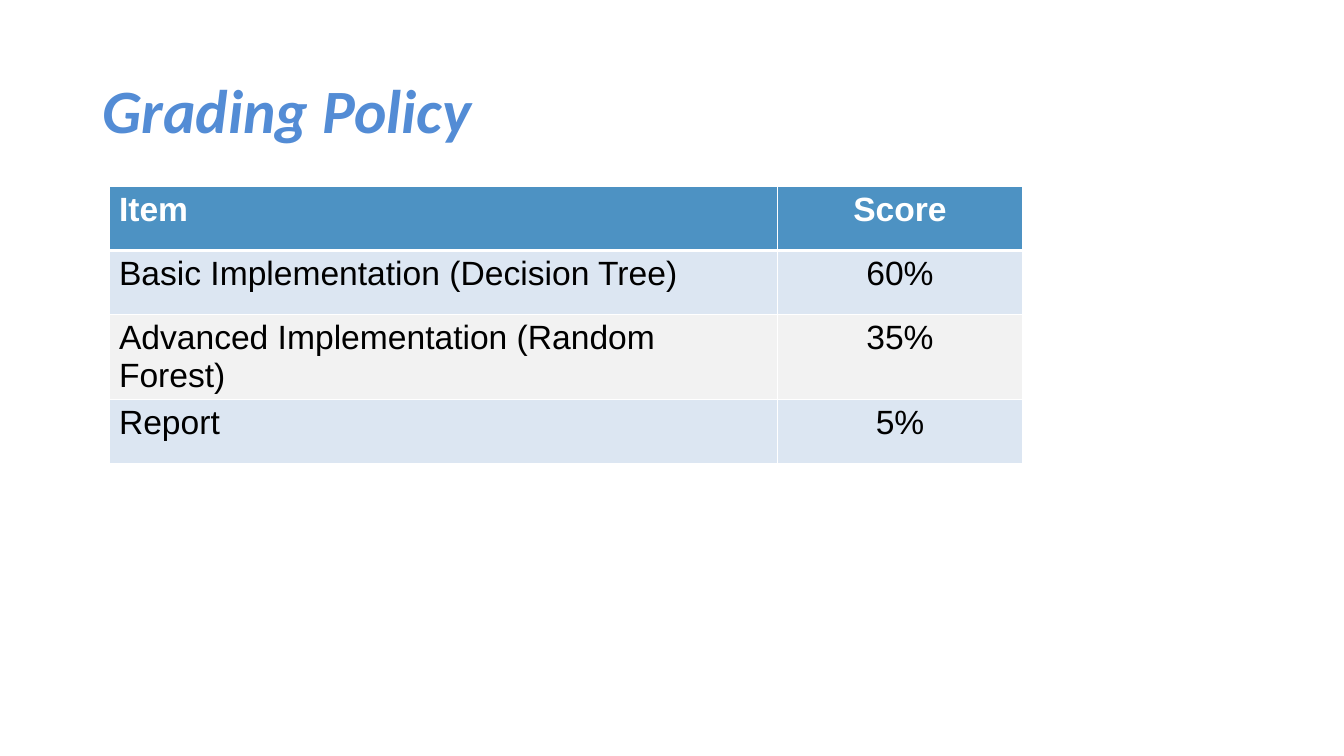
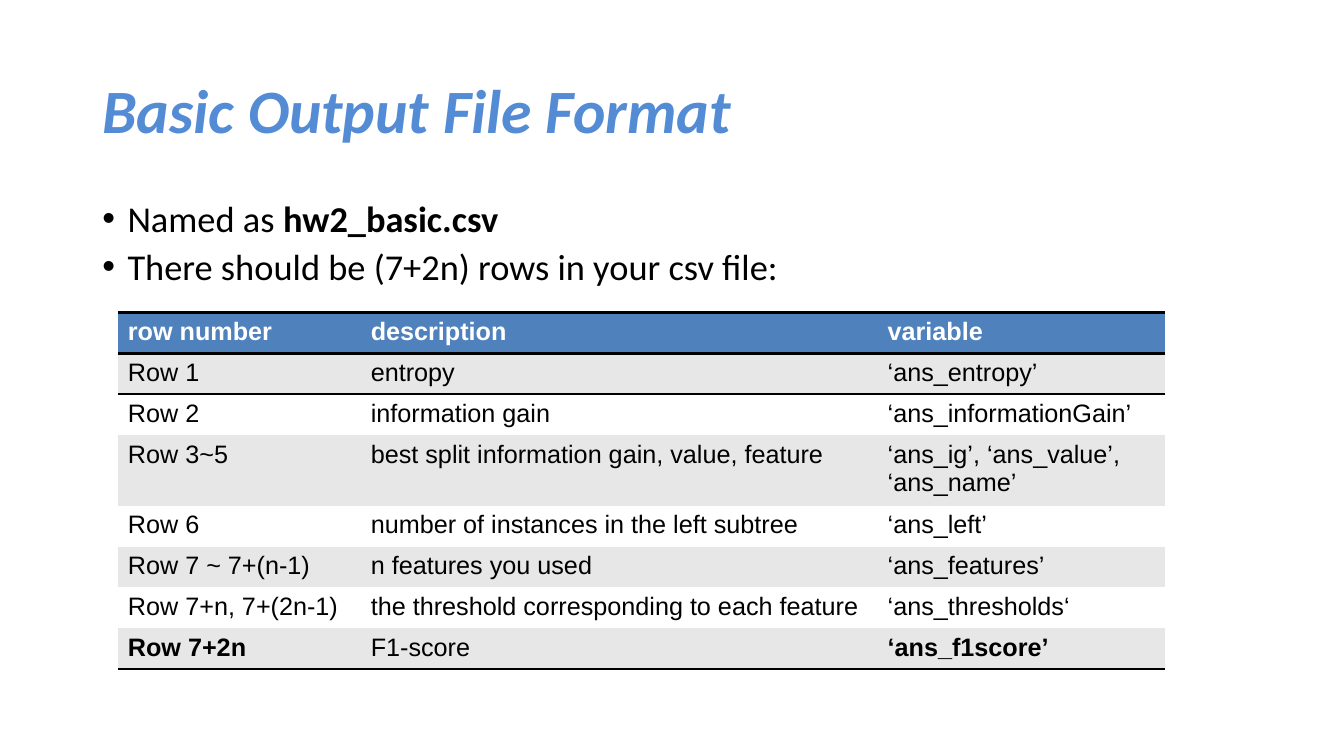
from lxml import etree
from pptx import Presentation
from pptx.dml.color import RGBColor
from pptx.enum.text import MSO_ANCHOR, PP_ALIGN
from pptx.oxml.ns import qn
from pptx.util import Pt

LEFT, CENTER = PP_ALIGN.LEFT, PP_ALIGN.CENTER
MIDDLE = MSO_ANCHOR.MIDDLE

WHITE = RGBColor(0xFF, 0xFF, 0xFF)
BLACK = RGBColor(0x00, 0x00, 0x00)
TITLE_BLUE = RGBColor(0x53, 0x8C, 0xD5)
GRADING_HEADER = RGBColor(0x4D, 0x92, 0xC3)
GRADING_BANDS = (RGBColor(0xDC, 0xE6, 0xF2), RGBColor(0xF2, 0xF2, 0xF2))
FORMAT_HEADER = RGBColor(0x4F, 0x81, 0xBD)
FORMAT_BANDS = (RGBColor(0xE7, 0xE7, 0xE7), WHITE)

HEADING_FONT, TABLE_FONT = "Calibri", "Arial"
PLAIN_TABLE_STYLE = "{2D5ABB26-0587-4C30-8999-92F81FD0307C}"
CONTENT_LEFT, CONTENT_TOP = 66, 133.2

GRADING_ROWS = [
    ("Item", "Score"),
    ("Basic Implementation (Decision Tree)", "60%"),
    ("Advanced Implementation (Random Forest)", "35%"),
    ("Report", "5%"),
]
FORMAT_ROWS = [
    ("row number", "description", "variable"),
    ("Row 1", "entropy", "‘ans_entropy’"),
    ("Row 2", "information gain", "‘ans_informationGain’"),
    ("Row 3~5", "best split information gain, value, feature",
     "‘ans_ig’, ‘ans_value’, ‘ans_name’"),
    ("Row 6", "number of instances in the left subtree", "‘ans_left’"),
    ("Row 7 ~ 7+(n-1)", "n features you used", "‘ans_features’"),
    ("Row 7+n, 7+(2n-1)", "the threshold corresponding to each feature",
     "‘ans_thresholds‘"),
    ("Row 7+2n", "F1-score", "‘ans_f1score’"),
]
FORMAT_BOLD_CELLS = {(7, 0), (7, 2)}


def style_font(font, name, size, color, bold=False, italic=False):
    font.name, font.size = name, Pt(size)
    font.bold, font.italic = bold, italic
    font.color.rgb = color


def add_titled_slide(prs, text):
    slide = prs.slides.add_slide(prs.slide_layouts[5])
    title = slide.shapes.title
    title.left, title.top = Pt(CONTENT_LEFT), Pt(28.8)
    title.width, title.height = Pt(828), Pt(104.4)
    title.text_frame.text = text
    title.text_frame.vertical_anchor = MIDDLE
    paragraph = title.text_frame.paragraphs[0]
    paragraph.alignment = LEFT
    paragraph.line_spacing = 0.9
    style_font(paragraph.runs[0].font, HEADING_FONT, 44, TITLE_BLUE, True, True)
    return slide


def add_bullets(slide, items):
    """Add bulleted lines; each item is a list of (text, bold) pieces."""
    box = slide.shapes.add_textbox(
        Pt(CONTENT_LEFT), Pt(CONTENT_TOP), Pt(781.2), Pt(118.8))
    frame = box.text_frame
    frame.word_wrap = True
    for index, pieces in enumerate(items):
        paragraph = frame.add_paragraph() if index else frame.paragraphs[0]
        paragraph.line_spacing = 1.1
        props = paragraph._p.get_or_add_pPr()
        props.set("marL", str(Pt(18)))
        props.set("indent", str(-Pt(18)))
        etree.SubElement(props, qn("a:buFont"), typeface="Arial")
        etree.SubElement(props, qn("a:buChar"), char="•")
        for text, bold in pieces:
            run = paragraph.add_run()
            run.text = text
            style_font(run.font, HEADING_FONT, 26, BLACK, bold)


def set_borders(cell, borders):
    """Draw borders given as {side: (color, width)}, before the cell is filled."""
    props = cell._tc.get_or_add_tcPr()
    for side in "LRTB":
        if side in borders:
            color, width = borders[side]
            line = etree.SubElement(props, qn(f"a:ln{side}"), w=str(Pt(width)))
            fill = etree.SubElement(line, qn("a:solidFill"))
            etree.SubElement(fill, qn("a:srgbClr"), val=str(color))


def grading_borders(row, last_row):
    borders = {side: (WHITE, 1) for side in "LRTB"}
    if row <= 1:
        borders["T" if row else "B"] = (WHITE, 3)
    return borders


def format_borders(row, last_row):
    rule = (BLACK, 2)
    if row == 0:
        return {"T": rule, "B": rule}
    if row == 1:
        return {"T": rule}
    return {"B": rule} if row == last_row else {}


def add_banded_table(slide, rows, left, top, widths, row_height, size,
                     header_fill, bands, borders_for, alignments,
                     bold_cells=()):
    table = slide.shapes.add_table(
        len(rows), len(widths), Pt(left), Pt(top),
        Pt(sum(widths)), Pt(row_height * len(rows))).table
    table._tbl.tblPr.find(qn("a:tableStyleId")).text = PLAIN_TABLE_STYLE
    for column, width in zip(table.columns, widths):
        column.width = Pt(width)
    for r, values in enumerate(rows):
        table.rows[r].height = Pt(row_height)
        header = r == 0
        for c, value in enumerate(values):
            cell = table.cell(r, c)
            set_borders(cell, borders_for(r, len(rows) - 1))
            cell.fill.solid()
            cell.fill.fore_color.rgb = (
                header_fill if header else bands[(r - 1) % len(bands)])
            cell.text_frame.text = value
            paragraph = cell.text_frame.paragraphs[0]
            paragraph.alignment = alignments[c]
            style_font(paragraph.runs[0].font, TABLE_FONT, size,
                       WHITE if header else BLACK,
                       header or (r, c) in bold_cells)


def build_grading_slide(prs):
    slide = add_titled_slide(prs, "Grading Policy")
    add_banded_table(slide, GRADING_ROWS, 77.8, CONTENT_TOP, (477.6, 175), 45.7,
                     24, GRADING_HEADER, GRADING_BANDS, grading_borders,
                     (LEFT, CENTER))


def build_format_slide(prs):
    slide = add_titled_slide(prs, "Basic Output File Format")
    add_bullets(slide, [
        [("Named as ", False), ("hw2_basic.csv", True)],
        [("There should be (7+2n) rows in your csv file:", False)],
    ])
    add_banded_table(slide, FORMAT_ROWS, 84.2, 223.2, (173.5, 369.2, 205.6), 29.2,
                     18, FORMAT_HEADER, FORMAT_BANDS, format_borders,
                     (LEFT, LEFT, LEFT), FORMAT_BOLD_CELLS)


def main():
    prs = Presentation()
    prs.slide_width, prs.slide_height = Pt(960), Pt(540)
    build_grading_slide(prs)
    build_format_slide(prs)
    prs.save("out.pptx")


if __name__ == "__main__":
    main()
